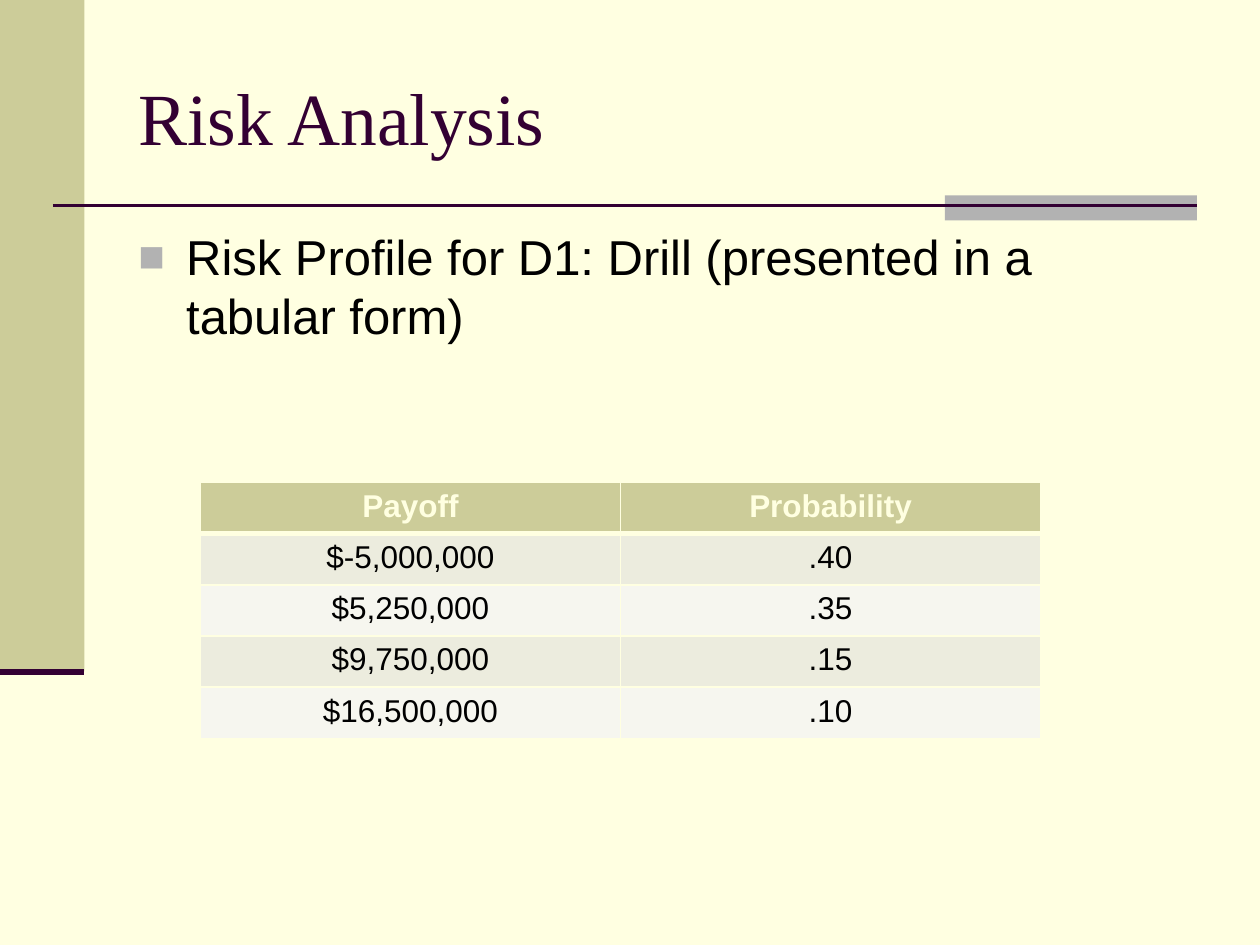
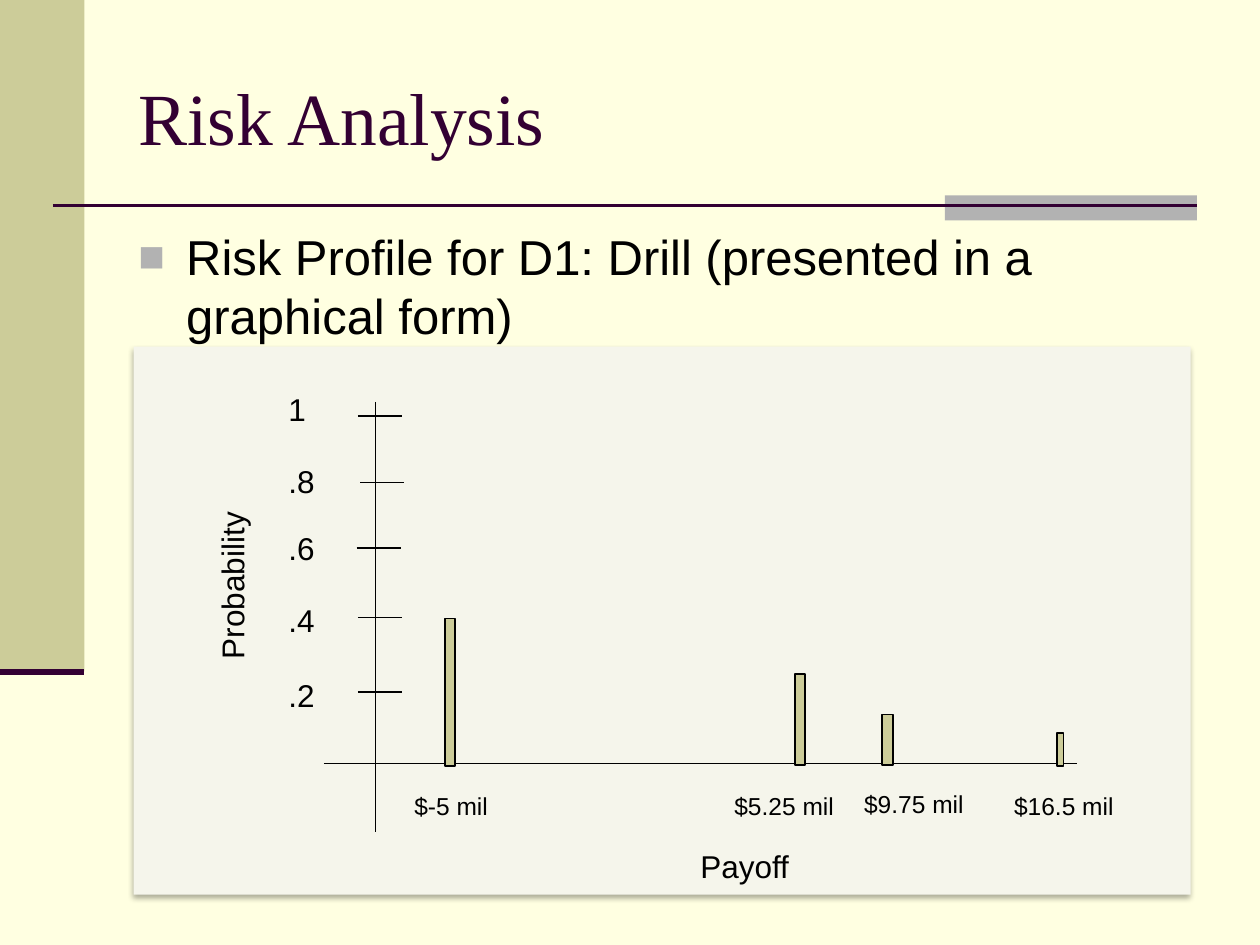
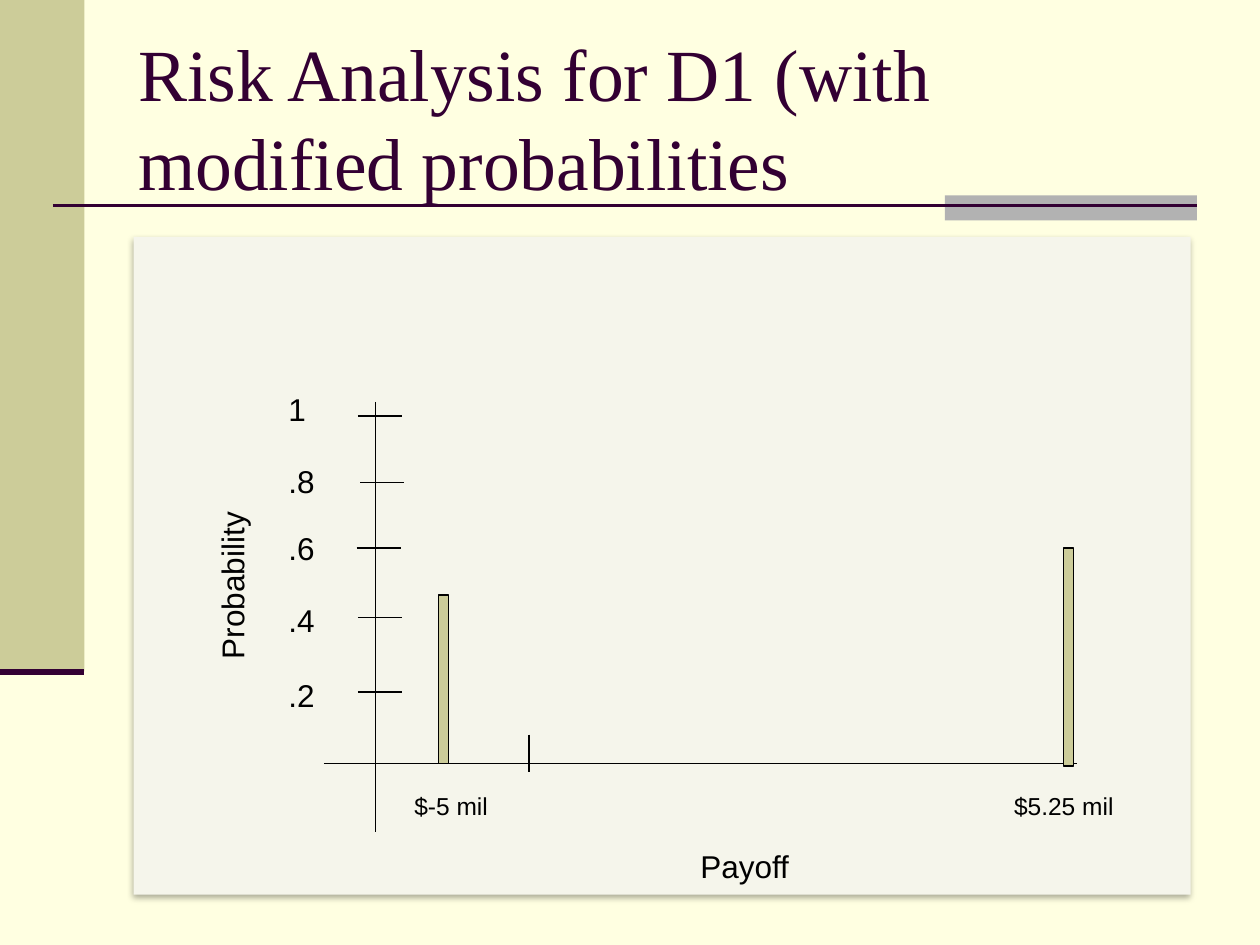
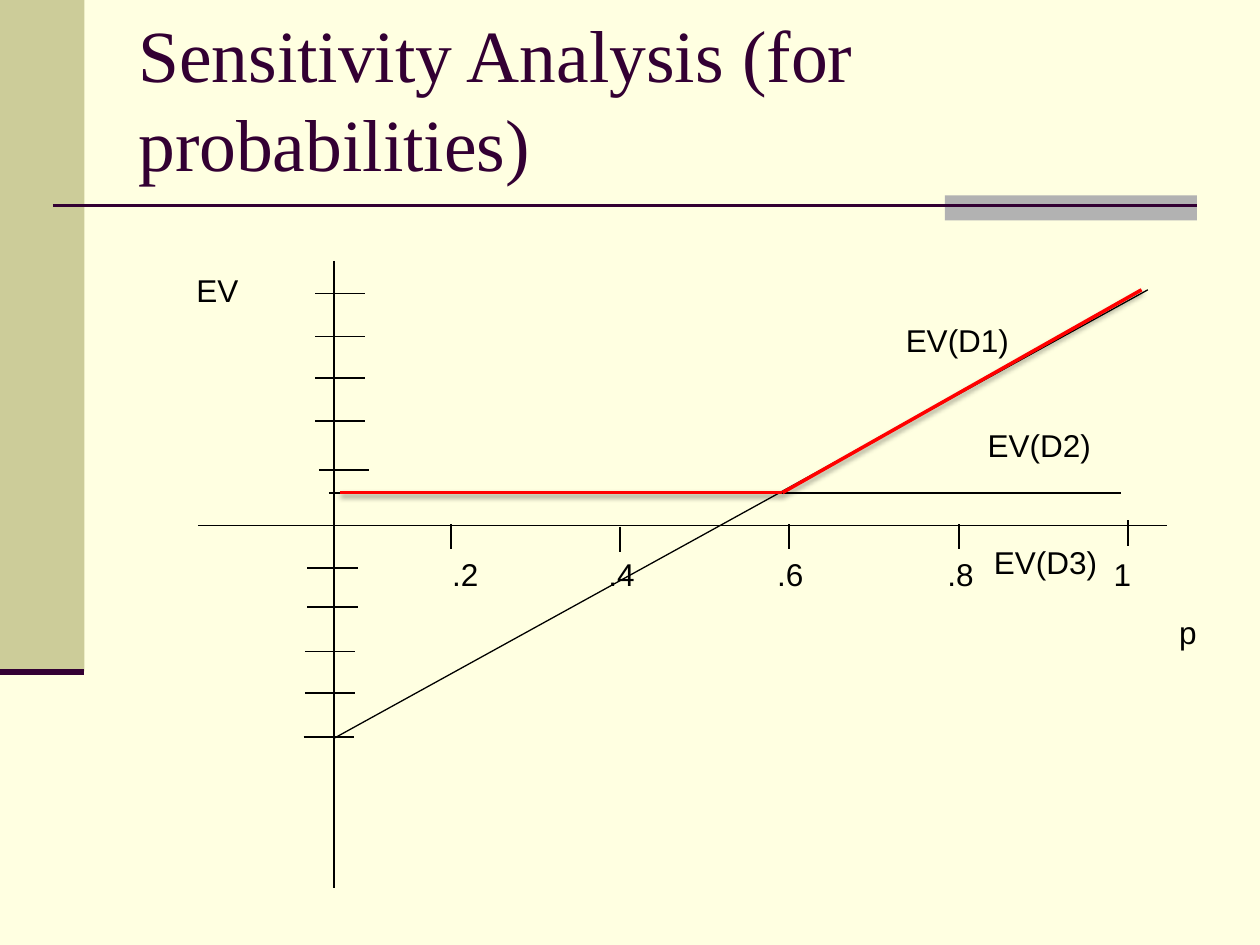
from dataclasses import dataclass

from lxml import etree
from pptx import Presentation
from pptx.dml.color import RGBColor
from pptx.enum.shapes import MSO_CONNECTOR, MSO_SHAPE
from pptx.enum.text import MSO_ANCHOR, MSO_AUTO_SIZE, PP_ALIGN
from pptx.oxml.ns import qn
from pptx.util import Inches, Pt

RECT = MSO_SHAPE.RECTANGLE
STRAIGHT = MSO_CONNECTOR.STRAIGHT
CENTER = PP_ALIGN.CENTER
TOP, MIDDLE = MSO_ANCHOR.TOP, MSO_ANCHOR.MIDDLE
GROW = MSO_AUTO_SIZE.SHAPE_TO_FIT_TEXT

WIDTH, HEIGHT = Inches(10), Inches(7.5)
COL, ROW = WIDTH / 100, HEIGHT / 75

COLORS = {
    "paper": "FFFFE1", "olive": "CCCC99", "plum": "330033", "gray": "B2B2B2",
    "ink": "000000", "red": "FF0000", "panel": "F5F5EB",
    "band_dark": "ECECDE", "band_light": "F6F6EF",
}
BODY_FONT, TITLE_FONT = "Arial", "Times New Roman"


@dataclass
class Box:
    x: float
    y: float
    w: float
    h: float

    def sub(self, x, y, w, h):
        return Box(self.x + x, self.y + y, w, h)

    def emu(self):
        return [round(v) for v in (self.x * COL, self.y * ROW, self.w * COL, self.h * ROW)]


SLIDE = Box(0, 0, 100, 75)
TITLE = Box(10, 3, 85, 12.5)
BODY = Box(10, 17.5, 85, 49.5)


def rgb(name):
    return RGBColor.from_string(COLORS[name])


def add_xml(parent, tag, **attrs):
    return etree.SubElement(parent, qn(tag), {k: str(v) for k, v in attrs.items()})


def add_shadow(sp, alpha=0, blur=0, dist=0):
    effects = add_xml(sp._element.spPr, "a:effectLst")
    if alpha:
        outer = add_xml(effects, "a:outerShdw", blurRad=Pt(blur), dist=Pt(dist),
                        dir=5400000, rotWithShape=0)
        clr = add_xml(outer, "a:srgbClr", val=COLORS["ink"])
        add_xml(clr, "a:alpha", val=alpha * 1000)


def add_rect(s, box, fill, line=None):
    sp = s.shapes.add_shape(RECT, *box.emu())
    sp.fill.solid()
    sp.fill.fore_color.rgb = rgb(fill)
    if line:
        sp.line.color.rgb = rgb(line)
        sp.line.width = Pt(1)
    else:
        sp.line.fill.background()
    return sp


def add_line(s, box, x1, y1, x2, y2, color="ink", width=1, shadow=()):
    x, y, w, h = box.sub(x1, y1, x2 - x1, y2 - y1).emu()
    ln = s.shapes.add_connector(STRAIGHT, x, y, x + w, y + h)
    ln.line.color.rgb = rgb(color)
    ln.line.width = Pt(width)
    add_shadow(ln, *shadow)


def write(tf, text, size=18, font=BODY_FONT, color="ink", bold=False, align=None):
    p = tf.paragraphs[0]
    p.alignment = align
    r = p.add_run()
    r.text = text
    r.font.size, r.font.name, r.font.bold = Pt(size), font, bold
    r.font.color.rgb = rgb(color)
    return p


def add_text(s, box, text, anchor=TOP, grow=True, vert=None, **fmt):
    tf = s.shapes.add_textbox(*box.emu()).text_frame
    tf.word_wrap = True
    tf.vertical_anchor = anchor
    if grow:
        tf.auto_size = GROW
    if vert:
        tf._txBody.bodyPr.set("vert", vert)
    return write(tf, text, **fmt)


def add_frame(s, box):
    side = box.sub(0, 0, 6.7, 53.3)
    add_rect(s, side, "olive").shadow.inherit = False
    add_rect(s, box.sub(75, 15.5, 20, 2), "gray").shadow.inherit = False
    add_line(s, box, 4.2, 16.3, 95, 16.3, "plum", 1.5)
    add_line(s, side, 0, side.h, side.w, side.h, "plum", 3.5)


def add_slide(prs, title, box=TITLE):
    s = prs.slides.add_slide(prs.slide_layouts[6])
    add_frame(s, SLIDE)
    add_text(s, box, title, anchor=MIDDLE, grow=False, size=42, font=TITLE_FONT, color="plum")
    return s


def add_bullet(s, box, text):
    p = add_text(s, box, text, grow=False, size=28)
    p.space_before = Pt(5.6)
    pPr = p._p.get_or_add_pPr()
    pPr.set("marL", str(Inches(0.38)))
    pPr.set("indent", str(-Inches(0.38)))
    add_xml(add_xml(pPr, "a:buClr"), "a:srgbClr", val=COLORS["gray"])
    add_xml(pPr, "a:buSzPct", val=90000)
    add_xml(pPr, "a:buFont", typeface=BODY_FONT)
    add_xml(pPr, "a:buChar", char="■")


def set_borders(cell, **widths):
    tcPr = cell._tc.get_or_add_tcPr()
    for side in "LRTB":
        ln = add_xml(tcPr, f"a:ln{side}", w=Pt(widths.get(side, 1)))
        add_xml(add_xml(ln, "a:solidFill"), "a:srgbClr", val=COLORS["paper"])


def add_payoff_table(s, box, rows):
    table = s.shapes.add_table(len(rows), len(rows[0]), *box.emu()).table
    for i, row in enumerate(rows):
        head = i == 0
        fill = "olive" if head else "band_dark" if i % 2 else "band_light"
        for j, text in enumerate(row):
            cell = table.cell(i, j)
            set_borders(cell, B=3 if head else 1, T=3 if i == 1 else 1)
            cell.fill.solid()
            cell.fill.fore_color.rgb = rgb(fill)
            write(cell.text_frame, text, bold=head, align=CENTER,
                  color="paper" if head else "ink")


PROBABILITY_TICKS = [
    ("1", 17.8, -38, -40.5),
    (".8", 18, -32.7, -34.8),
    (".6", 17.7, -27.5, -29.5),
    (".4", 17.8, -22, -23.8),
    (".2", 17.8, -16.1, -17.8),
]


def add_risk_profile(s, box, bars, labels):
    panel = add_rect(s, box, "panel")
    add_shadow(panel, 32, 3.5, 2.2)
    base = box.sub(0, box.h, box.w, 0)
    add_line(s, base, 19.2, -39.1, 19.2, -5)
    add_line(s, base, 15.1, -10.4, 74.9, -10.4)
    add_text(s, base.sub(5.8, -32.7, 5, 15), "Probability", vert="vert270")
    add_text(s, base.sub(44, -4.3, 12.3, 4), "Payoff")
    for text, col, tick, top in PROBABILITY_TICKS:
        add_line(s, base, col, tick, col + 3.5, tick)
        add_text(s, base.sub(11.3, top, 5.3, 4), text)
    for text, col, top, width in labels:
        add_text(s, base.sub(col, top, width, 3.4), text, size=14)
    for bar in bars:
        add_rect(s, base.sub(*bar), "olive", "ink").shadow.inherit = False
    return base


EV_TICKS = [
    (9.3, 2.6), (9.3, 6), (9.3, 9.3), (9.3, 12.7), (9.6, 16.6),
    (8.7, 24.4), (8.7, 27.5), (8.5, 31), (8.5, 34.3), (8.4, 37.8),
]
P_TICKS = [
    (".2", 20.1, 20.9, 19.2, 5.1),
    (".4", 33.5, 21.1, 31.6, 4.3),
    (".6", 46.9, 20.9, 45, 5.4),
    (".8", 60.4, 20.9, 58.5, 5),
    ("1", 73.8, 20.6, 71.7, 3.8),
]
EV_LABELS = [
    ("p", 76.9, 27.5, 5.4),
    ("EV", -1.1, 0.3, 8.7),
    ("EV(D1)", 55.2, 4.3, 13.2),
    ("EV(D3)", 62.2, 21.9, 13.2),
    ("EV(D2)", 61.7, 12.6, 13.2),
]


def add_sensitivity_plot(s, box):
    add_line(s, box, 0, 21, box.w, 21)
    add_line(s, box, 10.8, 0, 10.8, box.h)
    for col, row in EV_TICKS:
        add_line(s, box, col, row, col + 4, row)
    for text, col, top, left, width in P_TICKS:
        add_line(s, box, col, top, col, top + 2)
        add_text(s, box.sub(left, 22.9, width, 4), text)
    for text, col, row, width in EV_LABELS:
        add_text(s, box.sub(col, row, width, 4), text)
    add_line(s, box, 10.4, 18.4, 73.3, 18.4)
    add_line(s, box, 10.8, 37.9, 75.4, 2.3, width=0.75)
    for start in ((11.3, 18.4), (74.9, 2.3)):
        add_line(s, box, *start, 46.4, 18.4, "red", 2, (38, 3.1, 1.6))


def table_slide(prs):
    s = add_slide(prs, "Risk Analysis")
    add_bullet(s, BODY, "Risk Profile for D1: Drill (presented in a tabular form)")
    add_payoff_table(s, Box(15.9, 38.3, 66.7, 20.3), [
        ("Payoff", "Probability"),
        ("$-5,000,000", ".40"),
        ("$5,250,000", ".35"),
        ("$9,750,000", ".15"),
        ("$16,500,000", ".10"),
    ])


def graph_slide(prs):
    s = add_slide(prs, "Risk Analysis")
    add_bullet(s, BODY, "Risk Profile for D1: Drill (presented in a graphical form)")
    bars = [(24.7, -21.9, 0.8, 11.7), (52.5, -17.5, 0.8, 7.2),
            (59.4, -14.3, 0.9, 4), (73.3, -12.8, 0.5, 2.6)]
    labels = [("$-5 mil", 21.3, -8.7, 15.4), ("$5.25 mil", 46.7, -8.7, 11.5),
              ("$9.75 mil", 57, -8.9, 11.3), ("$16.5 mil", 68.9, -8.7, 14.6)]
    add_risk_profile(s, Box(10.6, 27.5, 83.9, 43.5), bars, labels)


def modified_slide(prs):
    s = add_slide(prs, "Risk Analysis for D1 (with modified probabilities")
    bars = [(24.2, -23.8, 0.8, 13.4), (73.8, -27.5, 0.8, 17.3)]
    labels = [("$-5 mil", 21.3, -8.7, 15.4), ("$5.25 mil", 68.9, -8.7, 11.3)]
    base = add_risk_profile(s, Box(10.6, 18.8, 83.9, 52.2), bars, labels)
    add_line(s, base, 31.4, -12.7, 31.4, -9.7)


def sensitivity_slide(prs):
    s = add_slide(prs, "Sensitivity Analysis (for probabilities)", Box(10, 3, 85, 9.5))
    add_sensitivity_plot(s, Box(15.7, 20.7, 76.9, 49.8))


def main():
    prs = Presentation()
    prs.slide_width, prs.slide_height = WIDTH, HEIGHT
    fill = prs.slide_master.background.fill
    fill.solid()
    fill.fore_color.rgb = rgb("paper")
    for build in (table_slide, graph_slide, modified_slide, sensitivity_slide):
        build(prs)
    prs.save("out.pptx")


if __name__ == "__main__":
    main()
